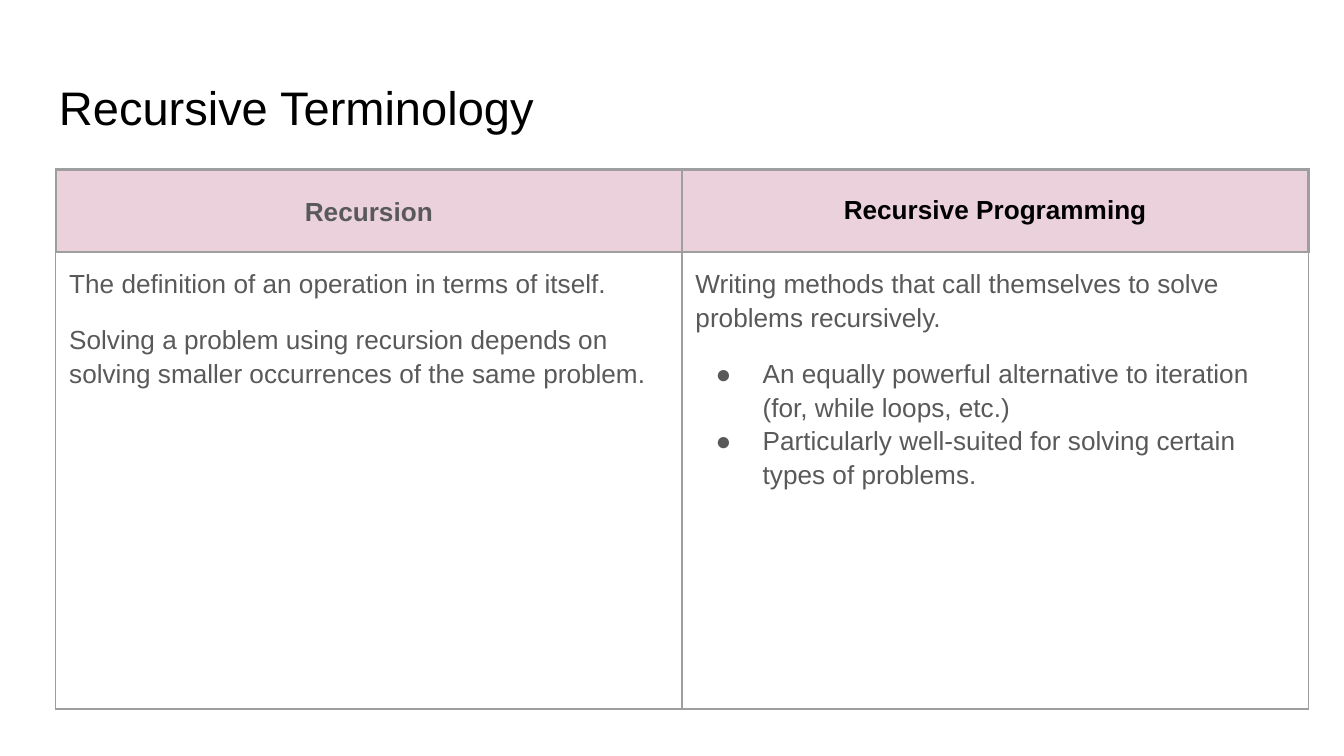
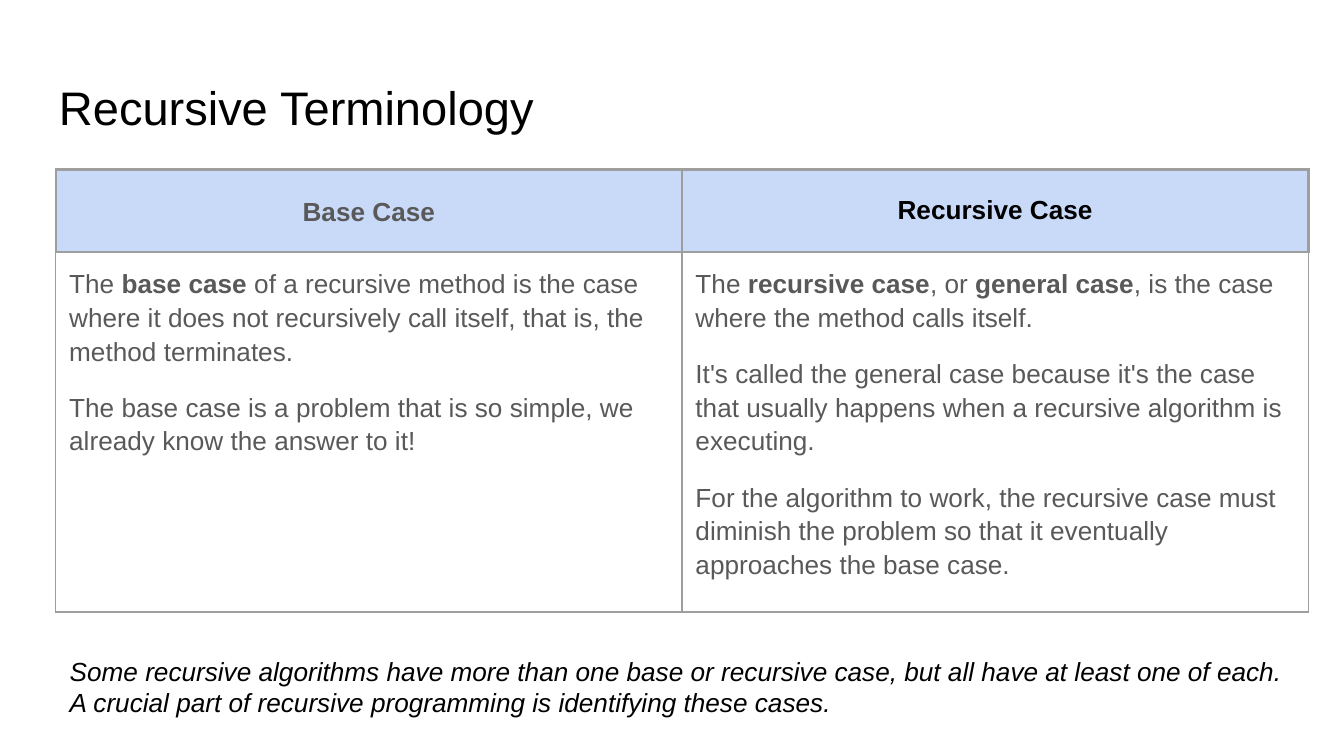
from lxml import etree
from pptx import Presentation
from pptx.dml.color import RGBColor
from pptx.enum.text import MSO_ANCHOR, PP_ALIGN
from pptx.oxml.ns import qn
from pptx.util import Pt

TOP, MIDDLE = MSO_ANCHOR.TOP, MSO_ANCHOR.MIDDLE
LEFT, CENTER = PP_ALIGN.LEFT, PP_ALIGN.CENTER

# Shared look
PX = 4572  # 200 px to the inch
SLIDE_SIZE = (2000, 1125)
FONT = "Arial"
BLACK, GREY, RULE = "000000", "595959", "9E9E9E"
BODY_SIZE, TITLE_SIZE = 14, 25.2
INSET = 20
BULLET_LEFT, BULLET_HANG = 100, -70
TITLE_BOX = (68, 97, 1864, 125)
NOTE_BOX = (84, 955, 1864, 134)
TABLE_LEFT, TABLE_TOP = 83, 252
COLUMN_WIDTH, HEADER_HEIGHT = 932, 123
THICK, THIN = 1.5, 0.75
HEADER_BORDERS = {"L": THICK, "R": THICK, "T": THICK, "B": THICK}
BODY_BORDERS = {"L": THIN, "R": THIN, "T": THICK, "B": THIN}

# Header cells: the left and right columns differ slightly
HEADER_FORMATS = [
    {"color": GREY, "line_spacing": 1.15, "after": [12]},
    {"color": BLACK},
]

# Content: **bold** marks; "● " starts a bullet; before/after are per paragraph
SLIDES = [
    {
        "title": "Recursive Terminology",
        "header_fill": "EAD1DC",
        "body_height": 680,
        "columns": [
            {
                "heading": "Recursion",
                "body": [
                    "The definition of an operation in terms of itself.",
                    "Solving a problem using recursion depends on solving smaller "
                    "occurrences of the same problem.",
                ],
                "before": [0, 12],
                "after": [0, 12],
            },
            {
                "heading": "Recursive Programming",
                "body": [
                    "Writing methods that call themselves to solve problems recursively.",
                    "● An equally powerful alternative to iteration (for, while loops, etc.)",
                    "● Particularly well-suited for solving certain types of problems.",
                ],
                "before": [0, 12, 0],
                "after": [0, 0, 0],
            },
        ],
    },
    {
        "title": "Recursive Terminology",
        "header_fill": "C9DAF8",
        "body_height": 533,
        "columns": [
            {
                "heading": "Base Case",
                "body": [
                    "The **base case** of a recursive method is the case where it does "
                    "not recursively call itself, that is, the method terminates.",
                    "The base case is a problem that is so simple, we already know the "
                    "answer to it!",
                ],
                "before": [0, 12],
                "after": [0, 12],
            },
            {
                "heading": "Recursive Case",
                "body": [
                    "The **recursive case**, or **general case**, is the case where the "
                    "method calls itself.",
                    "It's called the general case because it's the case that usually "
                    "happens when a recursive algorithm is executing.",
                    "For the algorithm to work, the recursive case must diminish the "
                    "problem so that it eventually approaches the base case.",
                ],
                "before": [0, 12, 12],
                "after": [0, 0, 12],
            },
        ],
        "note": "Some recursive algorithms have more than one base or recursive case, "
                "but all have at least one of each. A crucial part of recursive "
                "programming is identifying these cases.",
    },
]


def px(*lengths):
    return [length * PX for length in lengths]


def rgb(value):
    return RGBColor.from_string(value)


def add_bullet(paragraph, color):
    properties = paragraph._p.get_or_add_pPr()
    properties.set("marL", str(BULLET_LEFT * PX))
    properties.set("indent", str(BULLET_HANG * PX))
    bullet_color = etree.SubElement(properties, qn("a:buClr"))
    etree.SubElement(bullet_color, qn("a:srgbClr"), val=color)
    etree.SubElement(properties, qn("a:buFont"), typeface=FONT)
    etree.SubElement(properties, qn("a:buChar"), char="●")


def write_text(frame, texts, size=BODY_SIZE, color=GREY, bold=False, italic=False,
               align=LEFT, line_spacing=None, before=(), after=()):
    """Fill a text frame with one paragraph for each text."""
    frame.word_wrap = True
    for index, text in enumerate(texts):
        paragraph = frame.add_paragraph() if index else frame.paragraphs[0]
        paragraph.alignment = align
        if line_spacing:
            paragraph.line_spacing = line_spacing
        paragraph.space_before = Pt(before[index] if before else 0)
        paragraph.space_after = Pt(after[index] if after else 0)
        if text.startswith("● "):
            add_bullet(paragraph, color)
            text = text.removeprefix("● ")
        for part, words in enumerate(text.split("**")):
            run = paragraph.add_run()
            run.text = words
            run.font.name = FONT
            run.font.size = Pt(size)
            run.font.color.rgb = rgb(color)
            run.font.bold = bold or part % 2 == 1
            run.font.italic = italic


def set_insets(target):
    target.margin_left = target.margin_right = INSET * PX
    target.margin_top = target.margin_bottom = INSET * PX


def add_text_box(slide, box, text, anchor=TOP, **text_format):
    frame = slide.shapes.add_textbox(*px(*box)).text_frame
    set_insets(frame)
    frame.vertical_anchor = anchor
    write_text(frame, [text], **text_format)


def set_borders(cell, widths):
    properties = cell._tc.get_or_add_tcPr()
    for index, (side, width) in enumerate(widths.items()):
        line = etree.Element(qn(f"a:ln{side}"), w=str(Pt(width)))
        fill = etree.SubElement(line, qn("a:solidFill"))
        etree.SubElement(fill, qn("a:srgbClr"), val=RULE)
        properties.insert(index, line)


def format_cell(cell, anchor, borders, fill=None):
    set_insets(cell)
    cell.vertical_anchor = anchor
    if fill:
        cell.fill.solid()
        cell.fill.fore_color.rgb = rgb(fill)
    else:
        cell.fill.background()
    set_borders(cell, borders)


def add_term_table(slide, content):
    columns = content["columns"]
    heights = [HEADER_HEIGHT, content["body_height"]]
    frame = slide.shapes.add_table(
        len(heights), len(columns),
        *px(TABLE_LEFT, TABLE_TOP, COLUMN_WIDTH * len(columns), sum(heights)))
    table = frame.table
    table.first_row = table.horz_banding = False
    for row, height in zip(table.rows, heights):
        row.height = height * PX

    for index, column in enumerate(columns):
        table.columns[index].width = COLUMN_WIDTH * PX
        header, body = table.cell(0, index), table.cell(1, index)
        format_cell(header, MIDDLE, HEADER_BORDERS, content["header_fill"])
        write_text(header.text_frame, [column["heading"]], bold=True, align=CENTER,
                   **HEADER_FORMATS[index])
        format_cell(body, TOP, BODY_BORDERS)
        write_text(body.text_frame, column["body"], line_spacing=1.15,
                   before=column["before"], after=column["after"])


def main():
    presentation = Presentation()
    presentation.slide_width, presentation.slide_height = px(*SLIDE_SIZE)
    blank = presentation.slide_layouts[6]
    for content in SLIDES:
        slide = presentation.slides.add_slide(blank)
        add_text_box(slide, TITLE_BOX, content["title"], anchor=MIDDLE,
                     size=TITLE_SIZE, color=BLACK)
        add_term_table(slide, content)
        if "note" in content:
            add_text_box(slide, NOTE_BOX, content["note"], color=BLACK, italic=True)
    presentation.save("out.pptx")


if __name__ == "__main__":
    main()
